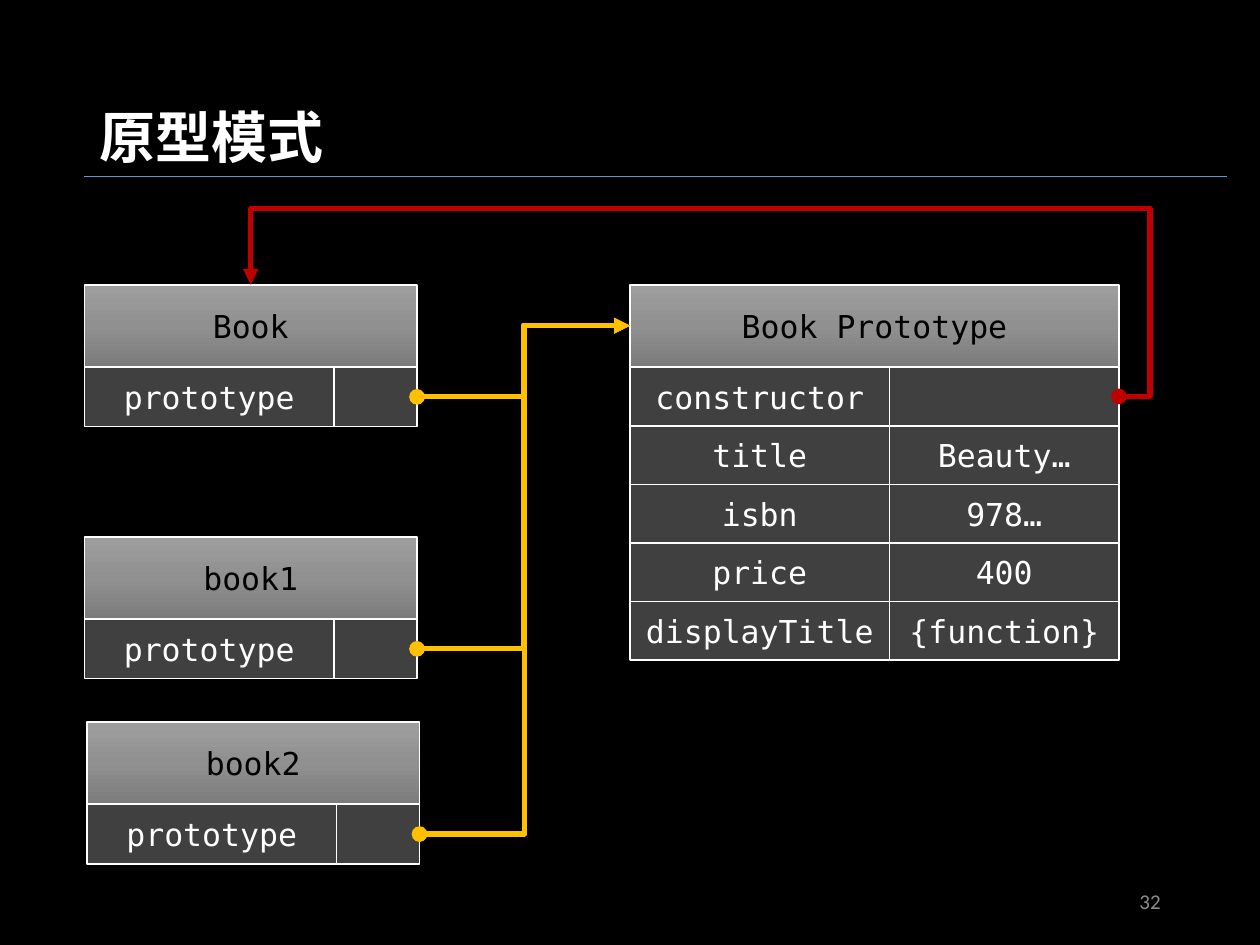
from copy import deepcopy
from pptx import Presentation
from pptx.dml.color import RGBColor
from pptx.enum.shapes import MSO_CONNECTOR as Conn, MSO_SHAPE as Shape
from pptx.enum.text import MSO_ANCHOR as Anchor, PP_ALIGN as Align
from pptx.oxml.ns import qn
from pptx.util import Inches, Pt
from lxml.etree import SubElement

BLACK = RGBColor(0, 0, 0)
WHITE = RGBColor(255, 255, 255)
DARK = RGBColor(0x40, 0x40, 0x40)
GRAY = RGBColor(0x8C, 0x8C, 0x8C)
BLUE = RGBColor(0x5B, 0x9B, 0xD5)
GOLD = RGBColor(0xFF, 0xC0, 0x00)
RED = RGBColor(0xC0, 0x00, 0x00)
STOPS = [(0.05, RGBColor(0x9D, 0x9D, 0x9D)), (0.5, RGBColor(0x90, 0x90, 0x90)),
         (1, RGBColor(0x7C, 0x7C, 0x7C))]
MONO = "DejaVu Sans Mono"
HEAD = 0.65

# Content: name, left, top, column widths, row height, rows
LINK = [("prototype", "")]
TABLES = [
    ("Book", 0.67, 2.26, (1.98, 0.66), 0.47, LINK),
    ("book1", 0.67, 4.26, (1.98, 0.66), 0.47, LINK),
    ("book2", 0.69, 5.73, (1.98, 0.66), 0.47, LINK),
    ("Book Prototype", 5, 2.26, (2.06, 1.82), 0.465, [
        ("constructor", ""), ("title", "Beauty…"), ("isbn", "978…"),
        ("price", "400"), ("displayTitle", "{function}")]),
]

prs = Presentation()
prs.slide_width, prs.slide_height = Inches(10), Inches(7.5)
slide = prs.slides.add_slide(prs.slide_layouts[6])
slide.background.fill.solid()
slide.background.fill.fore_color.rgb = BLACK


def write(shape, text, size=18, font=MONO, color=WHITE, bold=False,
          align=Align.CENTER, anchor=Anchor.MIDDLE, space=1.0):
    frame = shape.text_frame
    frame.word_wrap = True
    frame.vertical_anchor = anchor
    para = frame.paragraphs[0]
    para.alignment, para.line_spacing = align, space
    run = para.add_run()
    run.text = text
    run.font.size, run.font.name, run.font.bold = Pt(size), font, bold
    run.font.color.rgb = color
    SubElement(run.font._element, qn("a:ea")).set("typeface", font)


def label(text, x, y, w, h, **form):
    write(slide.shapes.add_textbox(*map(Inches, (x, y, w, h))), text, **form)


def shade(fill):
    fill.gradient()
    fill.gradient_angle = 270
    stops = fill.gradient_stops
    last = stops[1]._gs
    last.addprevious(deepcopy(last))
    for stop, (pos, color) in zip(fill.gradient_stops, STOPS):
        stop.position, stop.color.rgb = pos, color


def cell(text, x, y, w, h, head=False):
    box = slide.shapes.add_shape(Shape.RECTANGLE, *map(Inches, (x, y, w, h)))
    box.shadow.inherit = False
    if head:
        shade(box.fill)
    else:
        box.fill.solid()
        box.fill.fore_color.rgb = DARK
    box.line.color.rgb, box.line.width = WHITE, Pt(1)
    if text:
        write(box, text, color=BLACK if head else WHITE)


def link(kind, start, end, color, width, ends=False):
    line = slide.shapes.add_connector(kind, *map(Inches, start + end))
    line.line.color.rgb, line.line.width = color, Pt(width)
    props = line._element.spPr
    if ends:
        pen = props.find(qn("a:ln"))
        SubElement(pen, qn("a:headEnd")).set("type", "oval")
        SubElement(pen, qn("a:tailEnd")).set("type", "triangle")
    SubElement(props, qn("a:effectLst"))
    return line


# Title, rule and page number
link(Conn.STRAIGHT, (0.67, 1.4), (9.74, 1.4), BLUE, 1)
label("原型模式", 0.69, 0.58, 9.04, 0.82, size=32, font="Noto Sans CJK TC",
      bold=True, align=Align.LEFT, anchor=Anchor.BOTTOM, space=0.9)
label("32", 7.06, 6.95, 2.25, 0.4, size=12, font="Calibri", color=GRAY,
      align=Align.RIGHT)

# Object tables; keep the right middle of each first row as a port
ports = []
for name, left, top, cols, high, rows in TABLES:
    cell(name, left, top, sum(cols), HEAD, head=True)
    first = top + HEAD + 0.005
    for i, row in enumerate(rows):
        for j, text in enumerate(row):
            cell(text, left + sum(cols[:j]), first + i * high, cols[j], high)
    ports.append((left + sum(cols), first + high / 2))

# Prototype links
*owners, maker = ports
proto = TABLES[-1]
for port in reversed(owners):
    link(Conn.ELBOW, port, (proto[1], proto[2] + HEAD / 2), GOLD, 3, ends=True)

# Constructor link, routed around the right and above the tables
book = TABLES[0]
back = link(Conn.ELBOW, maker, (book[1] + sum(book[3]) / 2, book[2]), RED, 3, ends=True)
geom = back._element.spPr.find(qn("a:prstGeom"))
geom.set("prst", "bentConnector4")
guides = geom.find(qn("a:avLst"))
if guides is None:
    guides = SubElement(geom, qn("a:avLst"))
for name, value in (("adj1", -3600), ("adj2", 168200)):
    guide = SubElement(guides, qn("a:gd"))
    guide.set("name", name)
    guide.set("fmla", f"val {value}")

prs.save("out.pptx")
